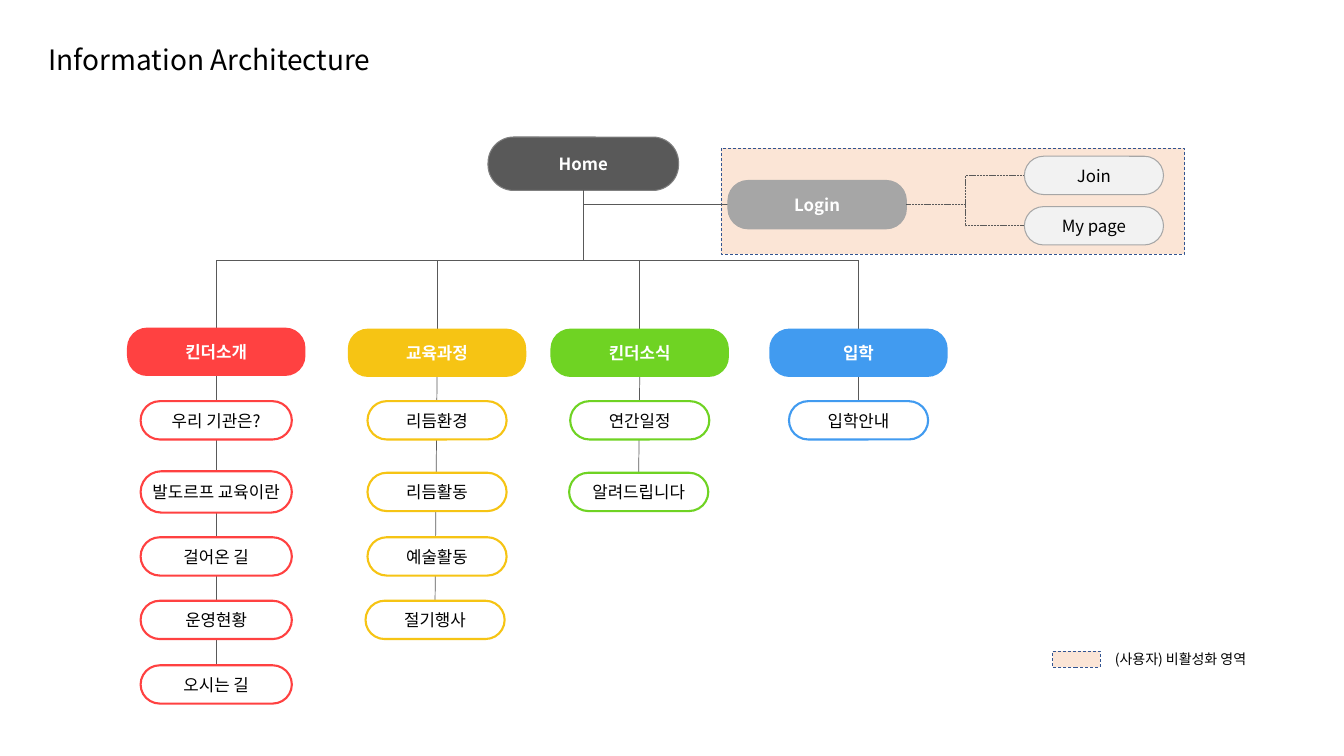
from dataclasses import dataclass

from lxml import etree
from pptx import Presentation
from pptx.dml.color import RGBColor
from pptx.enum.dml import MSO_LINE
from pptx.enum.shapes import MSO_CONNECTOR, MSO_SHAPE
from pptx.enum.text import MSO_ANCHOR, MSO_AUTO_SIZE, PP_ALIGN
from pptx.oxml.ns import qn
from pptx.shapes.autoshape import Shape
from pptx.shapes.connector import Connector
from pptx.slide import Slide
from pptx.text.text import TextFrame
from pptx.util import Inches, Pt

STRAIGHT, ELBOW = MSO_CONNECTOR.STRAIGHT, MSO_CONNECTOR.ELBOW
RECTANGLE, ROUNDED = MSO_SHAPE.RECTANGLE, MSO_SHAPE.ROUNDED_RECTANGLE
DASH, SHORT_DASH = MSO_LINE.DASH, MSO_LINE.SQUARE_DOT
LEFT, CENTER = PP_ALIGN.LEFT, PP_ALIGN.CENTER
MIDDLE, TOP_ANCHOR = MSO_ANCHOR.MIDDLE, MSO_ANCHOR.TOP
NO_AUTOFIT = MSO_AUTO_SIZE.NONE
TOP, LEFT_SIDE, BOTTOM, RIGHT_SIDE = range(4)


@dataclass(frozen=True)
class Theme:
    font: str = "Noto Sans CJK KR"
    title_size: float = 20
    node_size: float = 12
    legend_size: float = 10
    text: str = "000000"
    white: str = "FFFFFF"
    connector: str = "595959"
    home: str = "595959"
    home_edge: str = "808080"
    login: str = "A6A6A6"
    account: str = "F2F2F2"
    inactive: str = "FBE5D6"
    inactive_edge: str = "325491"
    intro: str = "FF4141"
    course: str = "F6C414"
    news: str = "6FD323"
    admission: str = "419BF0"


THEME = Theme()


@dataclass(frozen=True)
class Node:
    label: str
    left: float
    top: float
    width: float
    height: float
    fill: str
    edge: str | None = None
    edge_width: float = 0.75
    roundness: float = 0.5
    heading: bool = False


@dataclass(frozen=True)
class Page:
    label: str
    shift: float = 0
    height: float = 0.38


@dataclass(frozen=True)
class Section:
    label: str
    color: str
    left: float
    pages: tuple[Page, ...]
    top: float = 3.26
    page_width: float = 1.38


HEADING_WIDTH, HEADING_HEIGHT, HEADING_ROUNDNESS = 1.77, 0.48, 0.417
PAGE_CENTERS = (4.17, 4.88, 5.52, 6.15, 6.79)
TRUNK_X, BUS_Y, LOGIN_Y = 5.785, 2.585, 2.03

HOME = Node("Home", 4.84, 1.36, 1.89, 0.53, THEME.home, THEME.home_edge,
            roundness=0.479, heading=True)
LOGIN = Node("Login", 7.22, 1.79, HEADING_WIDTH, HEADING_HEIGHT, THEME.login,
             THEME.login, roundness=HEADING_ROUNDNESS, heading=True)
ACCOUNT_PAGES = [Node(label, 10.16, top, 1.38, 0.38, THEME.account, THEME.login)
                 for label, top in (("Join", 1.55), ("My page", 2.05))]
SECTIONS = (
    Section("킨더소개", THEME.intro, 1.26,
            (Page("우리 기관은?"), Page("발도르프 교육이란", height=0.41),
             Page("걸어온 길"), Page("운영현황"), Page("오시는 길")),
            top=3.25, page_width=1.5),
    Section("교육과정", THEME.course, 3.45,
            (Page("리듬환경"), Page("리듬활동"), Page("예술활동"),
             Page("절기행사", shift=-0.02))),
    Section("킨더소식", THEME.news, 5.46,
            (Page("연간일정"), Page("알려드립니다", shift=-0.01))),
    Section("입학", THEME.admission, 7.63, (Page("입학안내"),)),
)


def write_text(frame: TextFrame, text: str, size: float, color: str,
               align: PP_ALIGN, bold: bool = False) -> None:
    frame.text = text
    frame.word_wrap = True
    frame.auto_size = NO_AUTOFIT
    paragraph = frame.paragraphs[0]
    paragraph.alignment = align
    font = paragraph.font
    font.name, font.size, font.bold = THEME.font, Pt(size), bold
    font.color.rgb = RGBColor.from_string(color)
    properties = paragraph._p.pPr.find(qn("a:defRPr"))
    etree.SubElement(properties, qn("a:ea")).set("typeface", THEME.font)


def add_node(slide: Slide, node: Node) -> Shape:
    pill = slide.shapes.add_shape(ROUNDED, Inches(node.left), Inches(node.top),
                                  Inches(node.width), Inches(node.height))
    pill.shadow.inherit = False
    pill.adjustments[0] = node.roundness
    pill.fill.solid()
    pill.fill.fore_color.rgb = RGBColor.from_string(node.fill)
    if node.edge:
        pill.line.color.rgb = RGBColor.from_string(node.edge)
        pill.line.width = Pt(node.edge_width)
    else:
        pill.line.fill.background()
    frame = pill.text_frame
    frame.vertical_anchor = MIDDLE
    frame.margin_left = frame.margin_right = Inches(0.02)
    frame.margin_top = frame.margin_bottom = Inches(0.02)
    write_text(frame, node.label, THEME.node_size,
               THEME.white if node.heading else THEME.text, CENTER, node.heading)
    return pill


def add_inactive_area(slide: Slide, left: float, top: float,
                      width: float, height: float) -> None:
    area = slide.shapes.add_shape(RECTANGLE, Inches(left), Inches(top),
                                  Inches(width), Inches(height))
    area.shadow.inherit = False
    area.fill.solid()
    area.fill.fore_color.rgb = RGBColor.from_string(THEME.inactive)
    area.line.color.rgb = RGBColor.from_string(THEME.inactive_edge)
    area.line.width = Pt(0.5)
    area.line.dash_style = DASH


def add_link(slide: Slide, start: tuple[float, float], end: tuple[float, float],
             kind: MSO_CONNECTOR = STRAIGHT) -> Connector:
    link = slide.shapes.add_connector(kind, *map(Inches, start + end))
    link.line.color.rgb = RGBColor.from_string(THEME.connector)
    link.line.width = Pt(0.5)
    etree.SubElement(link._element.spPr, qn("a:effectLst"))
    return link


def add_section(slide: Slide, section: Section) -> None:
    """Draw a heading hanging from the bus, with its pages on a line behind them."""
    center = section.left + HEADING_WIDTH / 2
    drop = add_link(slide, (center, BUS_Y), (center, section.top))
    chain = add_link(slide, (center, section.top), (center, PAGE_CENTERS[0]))
    heading = add_node(slide, Node(
        section.label, section.left, section.top, HEADING_WIDTH, HEADING_HEIGHT,
        section.color, roundness=HEADING_ROUNDNESS, heading=True))
    pages = [add_node(slide, Node(
        page.label, center - section.page_width / 2 + page.shift,
        middle - page.height / 2, section.page_width, page.height,
        THEME.white, section.color, edge_width=1.5))
        for page, middle in zip(section.pages, PAGE_CENTERS)]
    drop.end_connect(heading, TOP)
    chain.begin_connect(heading, BOTTOM)
    chain.end_connect(pages[-1], TOP)


def add_account_area(slide: Slide) -> None:
    branch = add_link(slide, (TRUNK_X, LOGIN_Y), (LOGIN.left, LOGIN_Y))
    login = add_node(slide, LOGIN)
    branch.end_connect(login, LEFT_SIDE)
    for node in ACCOUNT_PAGES:
        page = add_node(slide, node)
        link = add_link(slide, (LOGIN.left + LOGIN.width, LOGIN_Y),
                        (node.left, node.top + node.height / 2), ELBOW)
        link.line.dash_style = SHORT_DASH
        link.begin_connect(login, RIGHT_SIDE)
        link.end_connect(page, LEFT_SIDE)


def main() -> None:
    deck = Presentation()
    deck.slide_width, deck.slide_height = Inches(13.33), Inches(7.5)
    slide = deck.slides.add_slide(deck.slide_layouts[5])

    title = slide.shapes.title
    title.left, title.top = Inches(0.38), Inches(0.37)
    title.width, title.height = Inches(3.69), Inches(0.44)
    title.text_frame.vertical_anchor = MIDDLE
    write_text(title.text_frame, "Information Architecture", THEME.title_size,
               THEME.text, LEFT)

    add_inactive_area(slide, 7.15, 1.47, 4.6, 1.05)
    home = add_node(slide, HOME)
    trunk = add_link(slide, (TRUNK_X, HOME.top + HOME.height), (TRUNK_X, BUS_Y))
    trunk.begin_connect(home, BOTTOM)
    first, last = (section.left + HEADING_WIDTH / 2
                   for section in (SECTIONS[0], SECTIONS[-1]))
    add_link(slide, (first, BUS_Y), (last, BUS_Y))
    for section in SECTIONS:
        add_section(slide, section)
    add_account_area(slide)

    add_inactive_area(slide, 10.44, 6.46, 0.47, 0.16)
    legend = slide.shapes.add_textbox(Inches(10.96), Inches(6.4),
                                      Inches(1.57), Inches(0.27))
    legend.text_frame.vertical_anchor = TOP_ANCHOR
    write_text(legend.text_frame, "(사용자) 비활성화 영역", THEME.legend_size,
               THEME.text, LEFT)
    deck.save("out.pptx")


if __name__ == "__main__":
    main()
